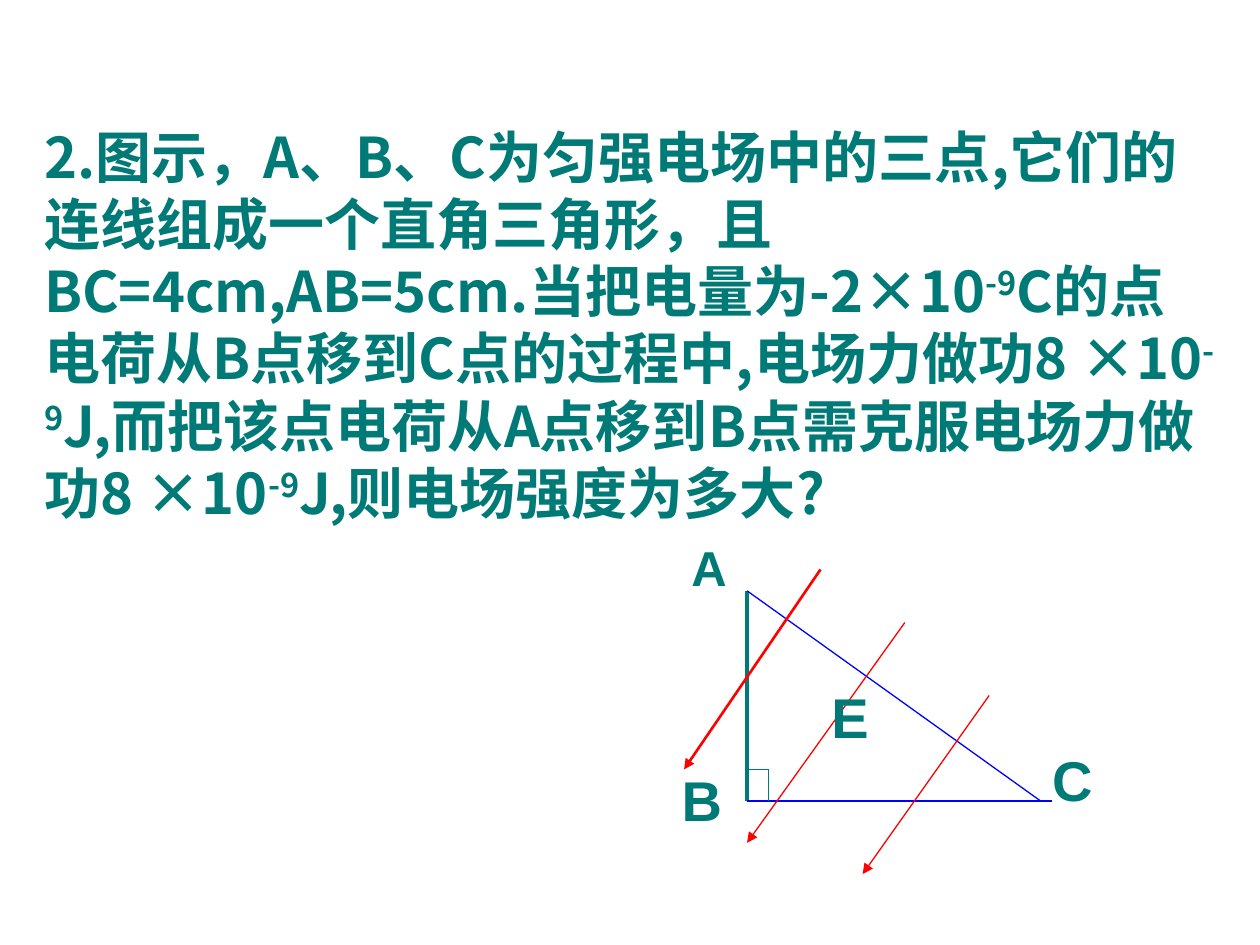
from lxml import etree
from pptx import Presentation
from pptx.dml.color import RGBColor
from pptx.enum.shapes import MSO_CONNECTOR
from pptx.oxml.ns import qn
from pptx.util import Cm, Pt

TEAL, BLUE, RED = "007A77", "0000FF", "FF0000"
CJK, LATIN = "Noto Sans CJK SC", "Arial"

QUESTION = [
    "2.图示，A、B、C为匀强电场中的三点,它们的连线组成一个直角三角形，且"
    "BC=4cm,AB=5cm.当把电量为-2×10",
    "C的点电荷从B点移到C点的过程中,电场力做功8 ×10",
    "J,而把该点电荷从A点移到B点需克服电场力做功8 ×10",
    "J,则电场强度为多大?",
]
EXPONENT = "-9"


def color(value):
    return RGBColor.from_string(value)


def add_run(p, text, font, size, superscript=False):
    r = p.add_run()
    r.text = text
    r.font.size, r.font.bold, r.font.name = Pt(size), True, font
    r.font.color.rgb = color(TEAL)
    rPr = r.font._element
    etree.SubElement(rPr, qn("a:ea")).set("typeface", font)
    if superscript:
        rPr.set("baseline", "30000")


def add_textbox(s, x, y, w, h, wrap):
    tf = s.shapes.add_textbox(Cm(x), Cm(y), Cm(w), Cm(h)).text_frame
    tf.word_wrap = wrap
    return tf.paragraphs[0]


def add_line(s, start, end, line_color, width=0.75, arrow=False):
    cxn = s.shapes.add_connector(
        MSO_CONNECTOR.STRAIGHT, *(Cm(v) for v in (*start, *end)))
    cxn.line.color.rgb = color(line_color)
    cxn.line.width = Pt(width)
    if arrow:
        ln = cxn.line._get_or_add_ln()
        etree.SubElement(ln, qn("a:tailEnd")).set("type", "triangle")
    etree.SubElement(cxn._element.spPr, qn("a:effectLst"))


def add_question(s, x, y, w, h):
    p = add_textbox(s, x, y, w, h, True)
    p.line_spacing = Pt(38.4)
    for i, text in enumerate(QUESTION):
        if i:
            add_run(p, EXPONENT, CJK, 32, superscript=True)
        add_run(p, text, CJK, 32)


def add_triangle(s, x, y, w, h):
    """Right triangle ABC with its right angle at B, crossed by field lines."""
    def at(dx, dy):
        return x + dx, y + dy

    a, b, c = at(0, 0), at(0, h), at(w, h)
    mark_w, mark_h = 0.43, 0.64
    corner = at(mark_w, h - mark_h)

    add_line(s, a, b, TEAL, 2.25)
    add_line(s, b, at(w + 0.23, h), BLUE)
    add_line(s, a, c, BLUE)
    add_line(s, at(0, h - mark_h), corner, TEAL)
    add_line(s, corner, at(mark_w, h), TEAL)

    for start, end, width in [((1.48, -0.43), (-1.27, 3.6), 1.5),
                              ((3.18, 0.64), (0, 5.08), 0.75),
                              ((4.88, 2.11), (2.33, 5.71), 0.75)]:
        add_line(s, at(*start), at(*end), RED, width, arrow=True)

    for text, dx, dy, box_w, box_h, size in [
            ("B", -1.57, 3.4, 1.32, 1.6, 32),
            ("C", 5.9, 3, 1.32, 1.6, 32),
            ("E", 1.45, 1.73, 1.27, 1.6, 32),
            ("A", -1.37, -1.19, 1.6, 1.45, 28)]:
        p = add_textbox(s, *at(dx, dy), box_w, box_h, text == "A")
        add_run(p, text, LATIN, size)


def main():
    prs = Presentation()
    prs.slide_width, prs.slide_height = Cm(25.4), Cm(19.05)
    s = prs.slides.add_slide(prs.slide_layouts[6])
    add_question(s, 0.64, 2.34, 24.2, 8.38)
    add_triangle(s, 15.06, 11.91, 5.92, 4.24)
    prs.save("out.pptx")


if __name__ == "__main__":
    main()
